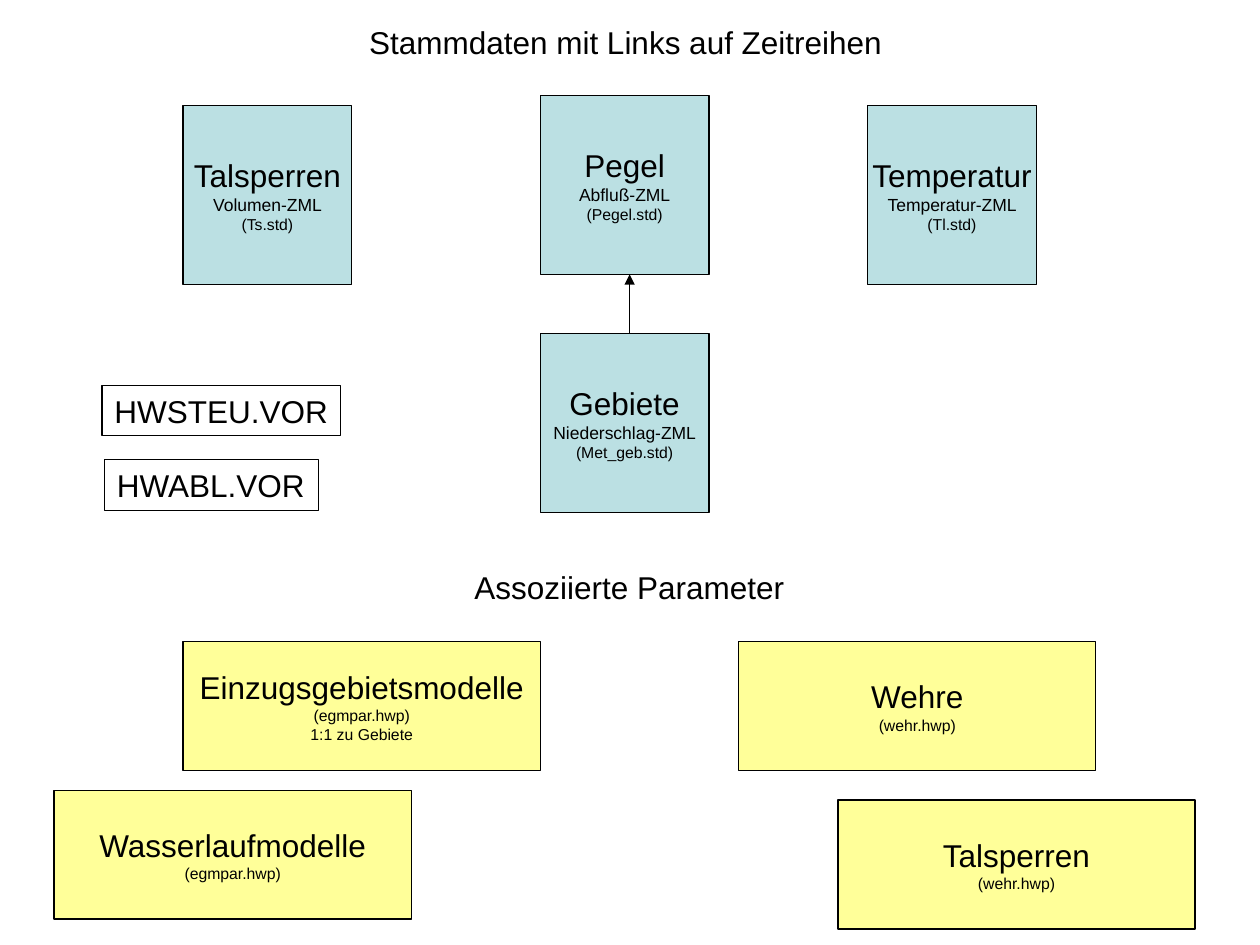
"""Build the slide on master data linked to time series and associated parameters."""
from lxml.etree import SubElement
from pptx import Presentation
from pptx.dml.color import RGBColor
from pptx.enum.shapes import MSO_CONNECTOR, MSO_SHAPE
from pptx.enum.text import MSO_ANCHOR, MSO_AUTO_SIZE, PP_ALIGN
from pptx.oxml.ns import qn
from pptx.util import Inches, Mm, Pt

BLACK = RGBColor(0x00, 0x00, 0x00)
TEAL = RGBColor(0xBB, 0xE0, 0xE3)
YELLOW = RGBColor(0xFF, 0xFF, 0x99)
CELL, LEFT, TOP = Mm(2), Inches(0.43), Inches(0.76)
DATA_SIZE, PARAM_SIZE = (17, 18), (36, 13)


def at(col, row):
    return LEFT + int(col * CELL), TOP + int(row * CELL)


def write(tf, lines, align=PP_ALIGN.CENTER):
    for i, (text, size) in enumerate(lines):
        p = tf.add_paragraph() if i else tf.paragraphs[0]
        p.alignment = align
        r = p.add_run()
        r.text = text
        r.font.name = "Arial"
        r.font.size = Pt(size)
        r.font.color.rgb = BLACK


prs = Presentation()
prs.slide_width, prs.slide_height = Inches(10), Inches(7.5)
s = prs.slides.add_slide(prs.slide_layouts[5])

arrow = s.shapes.add_connector(MSO_CONNECTOR.STRAIGHT, *at(58, 29.5), *at(58, 18))
arrow.line.color.rgb = BLACK
arrow.line.width = Pt(0.75)
SubElement(arrow.line._get_or_add_ln(), qn("a:tailEnd"), type="triangle")
SubElement(arrow._element.spPr, qn("a:effectLst"))

boxes = [
    (49, 0, DATA_SIZE, TEAL, "Pegel", [("Abfluß-ZML", 10), ("(Pegel.std)", 9)]),
    (13, 1, DATA_SIZE, TEAL, "Talsperren", [("Volumen-ZML", 10), ("(Ts.std)", 9)]),
    (82, 1, DATA_SIZE, TEAL, "Temperatur", [("Temperatur-ZML", 10), ("(Tl.std)", 9)]),
    (49, 24, DATA_SIZE, TEAL, "Gebiete", [("Niederschlag-ZML", 10), ("(Met_geb.std)", 9)]),
    (13, 55, PARAM_SIZE, YELLOW, "Einzugsgebietsmodelle",
     [("(egmpar.hwp)", 9), ("1:1 zu Gebiete", 9)]),
    (0, 70, PARAM_SIZE, YELLOW, "Wasserlaufmodelle", [("(egmpar.hwp)", 9)]),
    (69, 55, PARAM_SIZE, YELLOW, "Wehre", [("(wehr.hwp)", 9)]),
    (79, 71, PARAM_SIZE, YELLOW, "Talsperren", [("(wehr.hwp)", 9)]),
]
for col, row, (cols, rows), fill, name, details in boxes:
    sp = s.shapes.add_shape(MSO_SHAPE.RECTANGLE, *at(col, row), cols * CELL, rows * CELL)
    sp.shadow.inherit = False
    sp.fill.solid()
    sp.fill.fore_color.rgb = fill
    sp.line.color.rgb = BLACK
    sp.line.width = Pt(0.75)
    tf = sp.text_frame
    tf.word_wrap = False
    tf.vertical_anchor = MSO_ANCHOR.MIDDLE
    write(tf, [(name, 18), *details])

title = s.shapes.title
title.left, title.top = Inches(2.8), Inches(0.13)
title.width, title.height = Inches(4.33), Inches(0.4)
subtitle = s.shapes.add_textbox(Inches(3.5), Inches(4.46), Inches(2.99), Inches(0.4))
for sp, text in ((title, "Stammdaten mit Links auf Zeitreihen"),
                 (subtitle, "Assoziierte Parameter")):
    tf = sp.text_frame
    tf.word_wrap = True
    tf.auto_size = MSO_AUTO_SIZE.SHAPE_TO_FIT_TEXT
    tf.vertical_anchor = MSO_ANCHOR.TOP
    write(tf, [(text, 18)])

for text, x, y, w in (("HWSTEU.VOR", 0.81, 3.06, 1.89), ("HWABL.VOR", 0.83, 3.65, 1.7)):
    sp = s.shapes.add_textbox(Inches(x), Inches(y), Inches(w), Inches(0.4))
    sp.line.color.rgb = BLACK
    sp.line.width = Pt(0.75)
    tf = sp.text_frame
    tf.word_wrap = True
    tf.margin_right = 0
    tf.auto_size = MSO_AUTO_SIZE.NONE
    write(tf, [(text, 18)], PP_ALIGN.LEFT)

prs.save("out.pptx")
